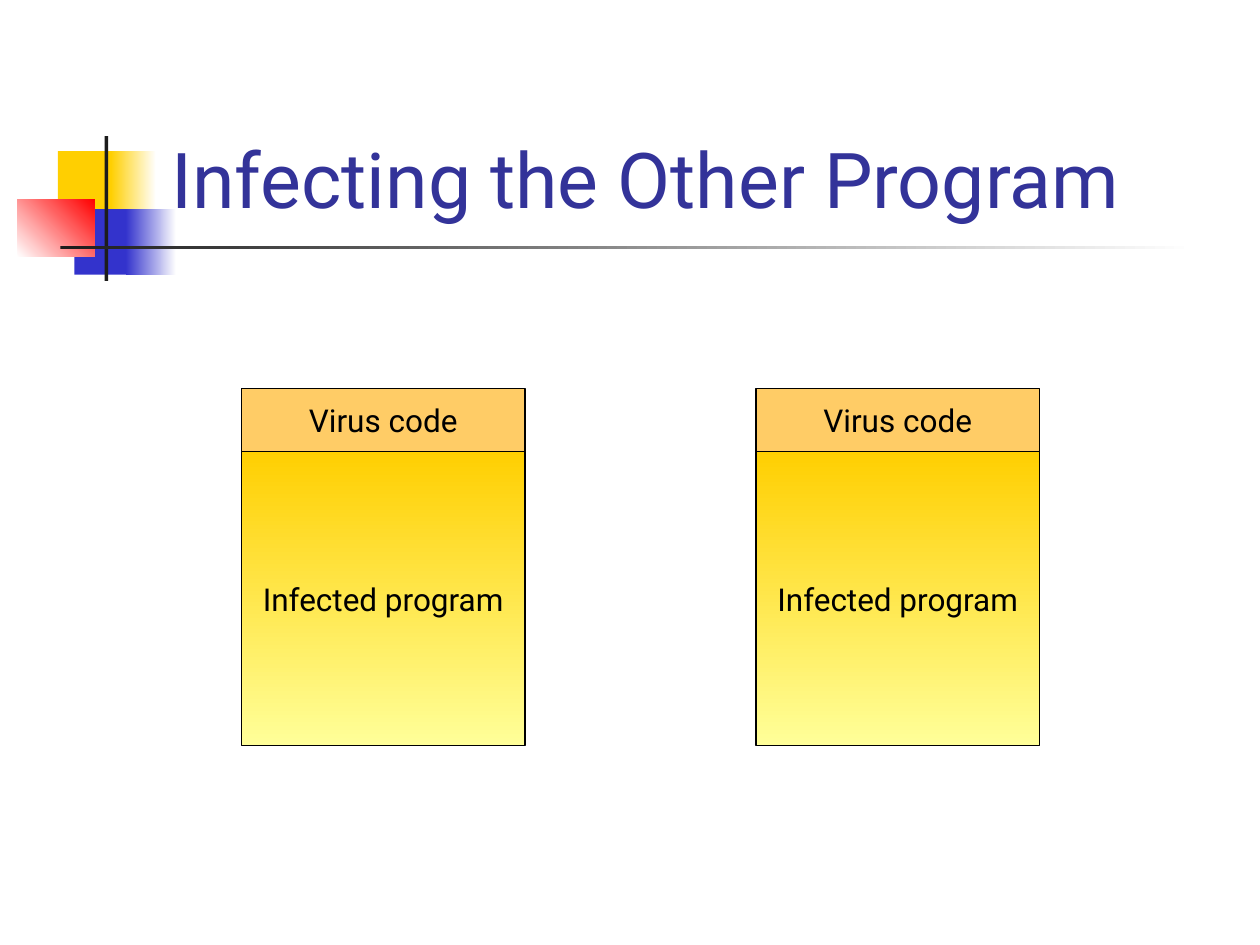
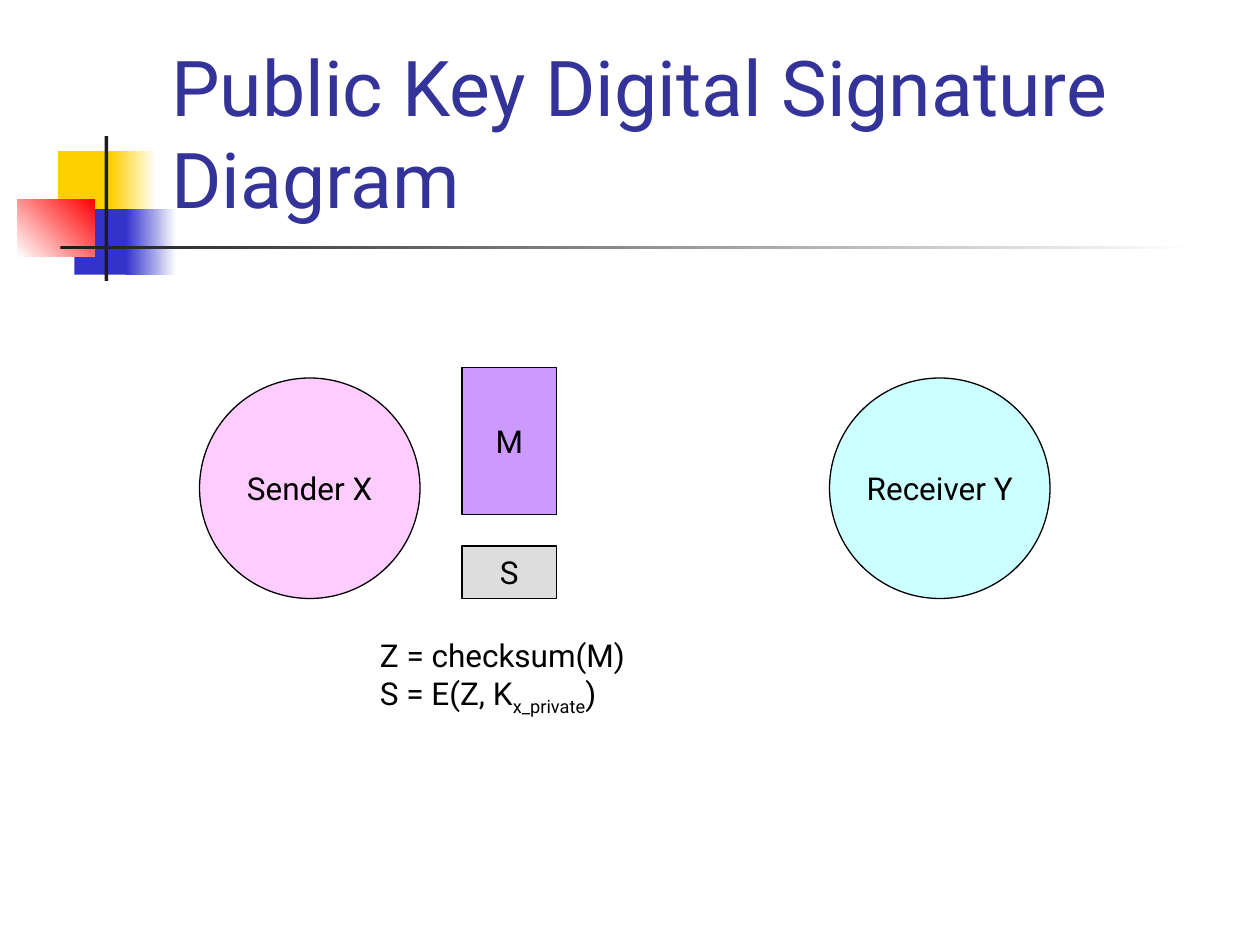
from pptx import Presentation
from pptx.dml.color import RGBColor
from pptx.enum.shapes import MSO_SHAPE as Form
from pptx.enum.text import MSO_ANCHOR as Anchor, MSO_AUTO_SIZE as AutoSize, PP_ALIGN as Align
from pptx.util import Inches, Pt

FONT = "Roboto"
CELL = Inches(1) / 12
FINE = Inches(1) / 100

WHITE = RGBColor(0xFF, 0xFF, 0xFF)
BLACK = RGBColor(0x00, 0x00, 0x00)
CHARCOAL = RGBColor(0x1C, 0x1C, 0x1C)
NAVY = RGBColor(0x33, 0x33, 0x99)
BLUE = RGBColor(0x33, 0x33, 0xCC)
RED = RGBColor(0xFF, 0x00, 0x00)
GOLD = RGBColor(0xFF, 0xCF, 0x01)
CREAM = RGBColor(0xFF, 0xFF, 0x99)
ORANGE = RGBColor(0xFF, 0xCC, 0x66)
PINK = RGBColor(0xFF, 0xCC, 0xFF)
AQUA = RGBColor(0xCC, 0xFF, 0xFF)
VIOLET = RGBColor(0xCC, 0x99, 0xFF)
GREY = RGBColor(0xDD, 0xDD, 0xDD)

RIGHTWARD, UPRIGHT, DOWNWARD = 0, 45, 270

ORNAMENT = [
    ((46, 120, 48, 52), GOLD),
    ((88, 120, 36, 52), (GOLD, WHITE, RIGHTWARD)),
    ((59, 166, 46, 52), BLUE),
    ((100, 166, 40, 52), (BLUE, WHITE, RIGHTWARD)),
    ((14, 158, 61, 46), (WHITE, RED, UPRIGHT)),
    ((83, 108, 3, 115), CHARCOAL),
    ((48, 195, 900, 3), (CHARCOAL, WHITE, RIGHTWARD)),
]


def place(cells, unit=CELL):
    return [round(count * unit) for count in cells]


def paint(shape, fill):
    if isinstance(fill, RGBColor):
        shape.fill.solid()
        shape.fill.fore_color.rgb = fill
        return
    *colors, angle = fill
    shape.fill.gradient()
    shape.fill.gradient_angle = angle
    for stop, color in zip(shape.fill.gradient_stops, colors):
        stop.color.rgb = color


def format_text(frame, size, color, align):
    for para in frame.paragraphs:
        para.alignment = align
        for span in para.runs:
            span.font.name = FONT
            span.font.size = Pt(size)
            span.font.color.rgb = color


def add_figure(slide, form, cells, fill, unit=CELL):
    figure = slide.shapes.add_shape(form, *place(cells, unit))
    figure.shadow.inherit = False
    paint(figure, fill)
    figure.line.fill.background()
    return figure


def add_labelled(slide, form, cells, fill, label):
    figure = add_figure(slide, form, cells, fill)
    figure.line.color.rgb = BLACK
    figure.line.width = Pt(0.75)
    frame = figure.text_frame
    frame.text = label
    frame.word_wrap = False
    frame.vertical_anchor = Anchor.MIDDLE
    format_text(frame, 18, BLACK, Align.CENTER)


def add_page(deck, layout, title):
    page = deck.slides.add_slide(layout)
    frame = page.shapes.title.text_frame
    frame.text = title
    frame.auto_size = AutoSize.NONE
    frame.vertical_anchor = Anchor.BOTTOM
    format_text(frame, 44, NAVY, Align.LEFT)
    return page


def style_layout(layout, page):
    for holder in layout.placeholders:
        if holder.placeholder_format.idx == 0:
            holder.left, holder.top, holder.width, holder.height = place((126, 23, 852, 160), FINE)
    for cells, fill in ORNAMENT:
        part = add_figure(page, Form.RECTANGLE, cells, fill, FINE)
        layout.shapes._spTree.append(part._element)


def add_infected_program(page, column):
    add_labelled(page, Form.RECTANGLE, (column, 43, 27, 28), (GOLD, CREAM, DOWNWARD), "Infected program")
    add_labelled(page, Form.RECTANGLE, (column, 37, 27, 6), ORANGE, "Virus code")


def add_formulas(page, cells):
    box = page.shapes.add_textbox(*place(cells))
    frame = box.text_frame
    frame.word_wrap = False
    frame.auto_size = AutoSize.SHAPE_TO_FIT_TEXT
    frame.text = "Z = checksum(M)"
    signature = frame.add_paragraph()
    for text in ("S = E(Z, K", "x_private", ")"):
        signature.add_run().text = text
    format_text(frame, 18, BLACK, Align.LEFT)
    signature.runs[1].font._element.set("baseline", "-25000")


def main():
    deck = Presentation()
    deck.slide_width, deck.slide_height = Inches(10), Inches(7.5)
    layout = deck.slide_layouts.get_by_name("Title Only")

    infection = add_page(deck, layout, "Infecting the Other Program")
    style_layout(layout, infection)
    for column in (23, 72):
        add_infected_program(infection, column)

    signing = add_page(deck, layout, "Public Key Digital Signature Diagram")
    add_labelled(signing, Form.OVAL, (19, 36, 21, 21), PINK, "Sender X")
    add_labelled(signing, Form.OVAL, (79, 36, 21, 21), AQUA, "Receiver Y")
    add_labelled(signing, Form.RECTANGLE, (44, 35, 9, 14), VIOLET, "M")
    add_labelled(signing, Form.RECTANGLE, (44, 52, 9, 5), GREY, "S")
    add_formulas(signing, (35, 60, 26, 9))

    deck.save("out.pptx")


if __name__ == "__main__":
    main()
